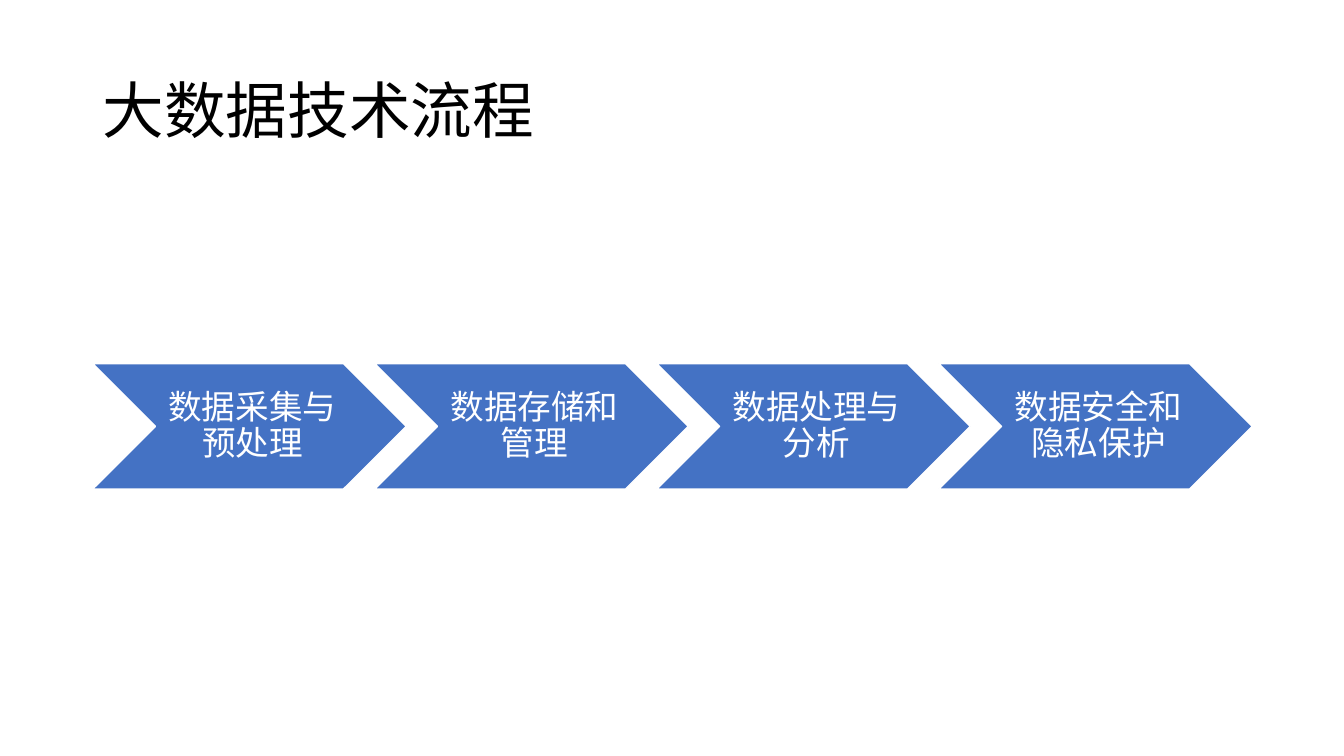
from lxml.etree import SubElement
from pptx import Presentation
from pptx.dml.color import RGBColor
from pptx.enum.shapes import MSO_SHAPE
from pptx.enum.text import MSO_ANCHOR, PP_ALIGN
from pptx.oxml.ns import qn
from pptx.util import Inches, Pt

TITLE = "大数据技术流程"
STEPS = ["数据采集与预处理", "数据存储和管理", "数据处理与分析", "数据安全和隐私保护"]

BLACK = RGBColor(0x00, 0x00, 0x00)
WHITE = RGBColor(0xFF, 0xFF, 0xFF)
BLUE = RGBColor(0x44, 0x72, 0xC4)
CJK_FONT = "Noto Sans CJK SC"

SLIDE_WIDTH, SLIDE_HEIGHT = 13.33, 7.5
LEFT, CONTENT_WIDTH = 0.92, 11.5
TITLE_TOP, TITLE_HEIGHT = 0.4, 1.45
ROW_MIDDLE = 4.23
PITCH = 0.9  # distance between chevrons, as a share of their width
ASPECT = 0.4  # chevron height, as a share of its width


def write_text(shape, text, size, color, font, align, insets):
    """Fill a shape with one vertically centred paragraph."""
    frame = shape.text_frame
    frame.word_wrap = True
    frame.vertical_anchor = MSO_ANCHOR.MIDDLE
    (frame.margin_left, frame.margin_top,
     frame.margin_right, frame.margin_bottom) = map(Inches, insets)
    para = frame.paragraphs[0]
    para.alignment = align
    para.line_spacing = 0.9
    span = para.add_run()
    span.text = text
    span.font.size = Pt(size)
    span.font.color.rgb = color
    span.font.name = font
    SubElement(span.font._element, qn("a:ea"), typeface=CJK_FONT)


def add_title(page):
    box = page.shapes.add_textbox(
        Inches(LEFT), Inches(TITLE_TOP), Inches(CONTENT_WIDTH), Inches(TITLE_HEIGHT))
    write_text(box, TITLE, size=44, color=BLACK, font="Cabin",
               align=PP_ALIGN.LEFT, insets=(0.1, 0.05, 0.1, 0.05))


def add_process(page):
    width = CONTENT_WIDTH / (1 + PITCH * (len(STEPS) - 1))
    height = width * ASPECT
    for index, step in enumerate(STEPS):
        chevron = page.shapes.add_shape(
            MSO_SHAPE.CHEVRON,
            Inches(LEFT + index * PITCH * width), Inches(ROW_MIDDLE - height / 2),
            Inches(width), Inches(height))
        chevron.shadow.inherit = False
        chevron.fill.solid()
        chevron.fill.fore_color.rgb = BLUE
        chevron.line.color.rgb = WHITE
        chevron.line.width = Pt(1)
        write_text(chevron, step, size=24, color=WHITE, font=CJK_FONT,
                   align=PP_ALIGN.CENTER, insets=(0.1, 0.04, 0.04, 0.04))


def main():
    deck = Presentation()
    deck.slide_width, deck.slide_height = Inches(SLIDE_WIDTH), Inches(SLIDE_HEIGHT)
    page = deck.slides.add_slide(deck.slide_layouts[6])
    add_title(page)
    add_process(page)
    deck.save("out.pptx")


if __name__ == "__main__":
    main()
